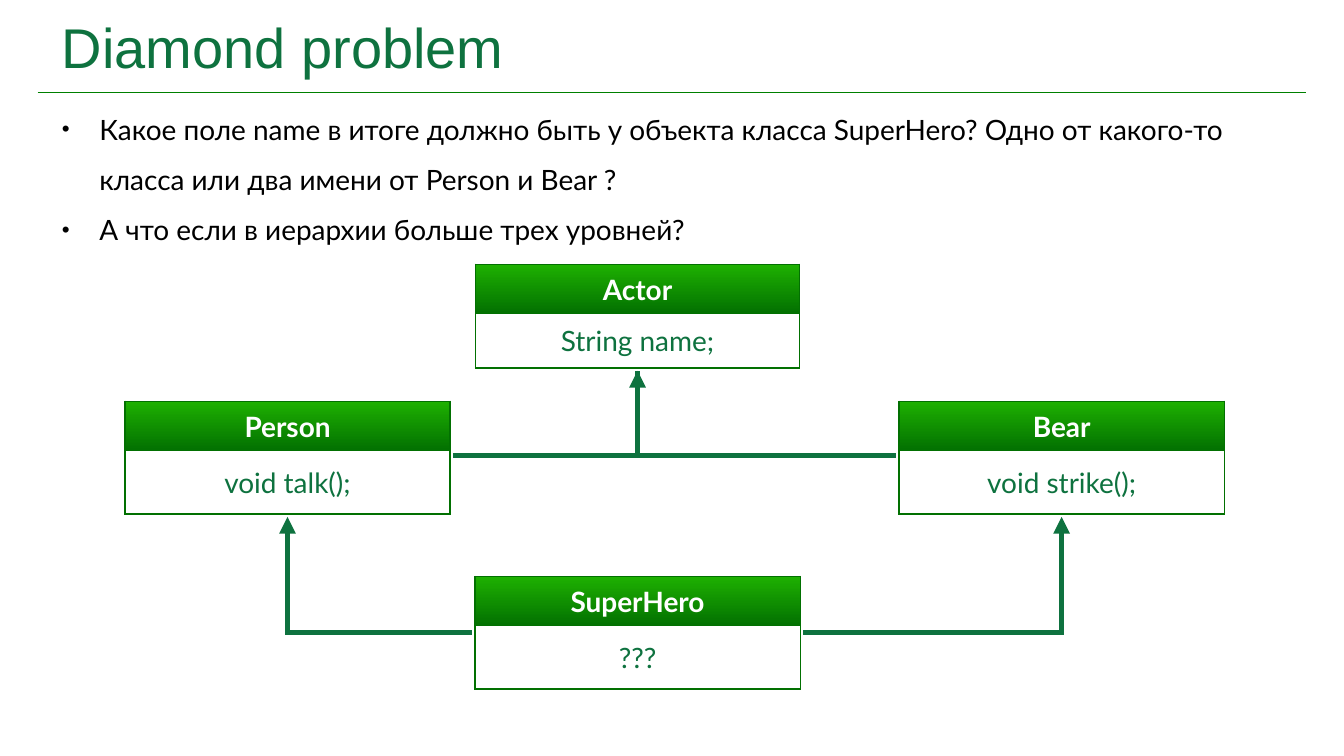
import collections

import lxml.etree
import pptx
import pptx.dml.color
import pptx.enum.shapes
import pptx.enum.text
import pptx.oxml.ns
import pptx.util

Cm, Pt = pptx.util.Cm, pptx.util.Pt
ALIGN = pptx.enum.text.PP_ALIGN
MIDDLE = pptx.enum.text.MSO_ANCHOR.MIDDLE

COLORS = {
    "text": "000000",
    "accent": "0E723F",
    "rule": "008000",
    "border": "027001",
    "header_top": "1EB001",
    "white": "FFFFFF",
}
HEADER_HEIGHT = 0.93
GAP = 0.06  # between an arrow and the class box it meets

# All box measures are in centimetres
Box = collections.namedtuple("Box", "left top width height")


def color(name):
    return pptx.dml.color.RGBColor.from_string(COLORS[name])


def add_element(parent, tag, **attributes):
    return lxml.etree.SubElement(parent, pptx.oxml.ns.qn(tag), attributes)


def lengths(box):
    return [Cm(value) for value in box]


def write_text(paragraph, text, size=15, font="Lato", ink="text", bold=False,
               align=ALIGN.LEFT, spacing=None):
    paragraph.alignment = align
    paragraph.line_spacing = spacing
    run = paragraph.add_run()
    run.text = text
    run.font.size = Pt(size)
    run.font.name = font
    run.font.bold = bold
    run.font.color.rgb = color(ink)


def prepare_frame(frame):
    frame.word_wrap = True
    frame.auto_size = pptx.enum.text.MSO_AUTO_SIZE.SHAPE_TO_FIT_TEXT
    frame.vertical_anchor = MIDDLE
    frame.margin_left = frame.margin_right = Cm(0.08)
    frame.margin_top = frame.margin_bottom = Cm(0.08)


def add_title(slide, box, text):
    title = slide.shapes.title
    title.left, title.top, title.width, title.height = lengths(box)
    prepare_frame(title.text_frame)
    write_text(title.text_frame.paragraphs[0], text, size=30, font="Arial", ink="accent")

    # Rule under the title
    y, overhang = Cm(box.top + box.height + 0.17), 0.38
    rule = slide.shapes.add_connector(
        pptx.enum.shapes.MSO_CONNECTOR.STRAIGHT,
        Cm(box.left - overhang), y, Cm(box.left + box.width + overhang), y)
    rule.line.color.rgb = color("rule")
    rule.line.width = Pt(0.75)
    add_element(rule._element.spPr, "a:effectLst")


def add_bullets(slide, box, items):
    frame = slide.shapes.add_textbox(*lengths(box)).text_frame
    prepare_frame(frame)
    for index, item in enumerate(items):
        paragraph = frame.add_paragraph() if index else frame.paragraphs[0]
        write_text(paragraph, item, spacing=1.5)
        properties = paragraph._p.get_or_add_pPr()
        properties.set("marL", str(Cm(0.71)))
        properties.set("indent", str(-Cm(0.71)))
        add_element(properties, "a:buSzPct", val="80000")
        add_element(properties, "a:buFont", typeface="Arial")
        add_element(properties, "a:buChar", char="•")


def set_borders(cell, visible_sides):
    properties = cell._tc.get_or_add_tcPr()
    for side in "LRTB":
        line = add_element(properties, f"a:ln{side}", w=str(Pt(1)))
        if side in visible_sides:
            fill = add_element(line, "a:solidFill")
            add_element(fill, "a:srgbClr", val=COLORS["border"])
        else:
            add_element(line, "a:noFill")


def add_class_box(slide, box, name, member):
    table = slide.shapes.add_table(2, 1, *lengths(box)).table
    table.first_row = table.horz_banding = False
    table.rows[0].height = Cm(HEADER_HEIGHT)
    table.rows[1].height = Cm(box.height - HEADER_HEIGHT)
    header, body = table.cell(0, 0), table.cell(1, 0)

    for cell, text, ink, sides in ((header, name, "white", "LRT"),
                                   (body, member, "accent", "LRB")):
        cell.vertical_anchor = MIDDLE
        cell.margin_left = cell.margin_right = Cm(0.15)
        cell.margin_top = cell.margin_bottom = Cm(0.15)
        write_text(cell.text_frame.paragraphs[0], text, ink=ink,
                   bold=cell is header, align=ALIGN.CENTER)
        set_borders(cell, sides)

    header.fill.gradient()
    header.fill.gradient_angle = 270
    for stop, ink in zip(header.fill.gradient_stops, ("header_top", "border")):
        stop.color.rgb = color(ink)
    body.fill.solid()
    body.fill.fore_color.rgb = color("white")


def add_elbow(slide, points, arrow=True):
    start, *others = [(Cm(x), Cm(y)) for x, y in points]
    builder = slide.shapes.build_freeform(*start)
    builder.add_line_segments(others, close=False)
    elbow = builder.convert_to_shape()
    elbow.shadow.inherit = False
    elbow.fill.background()
    elbow.line.color.rgb = color("accent")
    elbow.line.width = Pt(3)
    line = elbow.line._get_or_add_ln()
    add_element(line, "a:miter", lim="800000")
    if arrow:
        add_element(line, "a:tailEnd", type="triangle")


def add_class_diagram(slide, box):
    side_width, side_height = 6.15, 2.12
    center = box.left + box.width / 2 - 0.7
    side_top = box.top + 2.59
    actor = Box(center - 3.06, box.top, 6.12, 1.95)
    person = Box(box.left, side_top, side_width, side_height)
    bear = Box(box.left + box.width - side_width, side_top, side_width, side_height)
    hero = Box(center - side_width / 2, box.top + box.height - side_height,
               side_width, side_height)

    add_class_box(slide, actor, "Actor", "String name;")
    add_class_box(slide, person, "Person", "void talk();")
    add_class_box(slide, bear, "Bear", "void strike();")
    add_class_box(slide, hero, "SuperHero", "???")

    # Person and Bear inherit from Actor
    middle = side_top + side_height / 2 - 0.04
    tip = actor.top + actor.height + GAP
    add_elbow(slide, [(person.left + side_width + GAP, middle), (center, middle), (center, tip)])
    add_elbow(slide, [(bear.left - GAP, middle), (center, middle), (center, tip)], arrow=False)

    # SuperHero inherits from Person and Bear
    middle = hero.top + side_height / 2
    tip = side_top + side_height + GAP
    for parent, start in ((person, hero.left - GAP), (bear, hero.left + side_width + GAP)):
        x = parent.left + side_width / 2
        add_elbow(slide, [(start, middle), (x, middle), (x, tip)])


def main():
    presentation = pptx.Presentation()
    presentation.slide_width, presentation.slide_height = Cm(25.4), Cm(14.29)
    slide = presentation.slides.add_slide(presentation.slide_layouts[5])

    add_title(slide, Box(1.09, 0.18, 23.22, 1.4), "Diamond problem")
    add_bullets(slide, Box(1.09, 1.96, 23.24, 2.54), [
        "Какое поле name в итоге должно быть у объекта класса SuperHero? "
        "Одно от какого-то класса или два имени от Person и Bear ?",
        "А что если в иерархии больше трех уровней?",
    ])
    add_class_diagram(slide, Box(2.36, 5, 20.78, 8.02))

    presentation.save("out.pptx")


if __name__ == "__main__":
    main()
